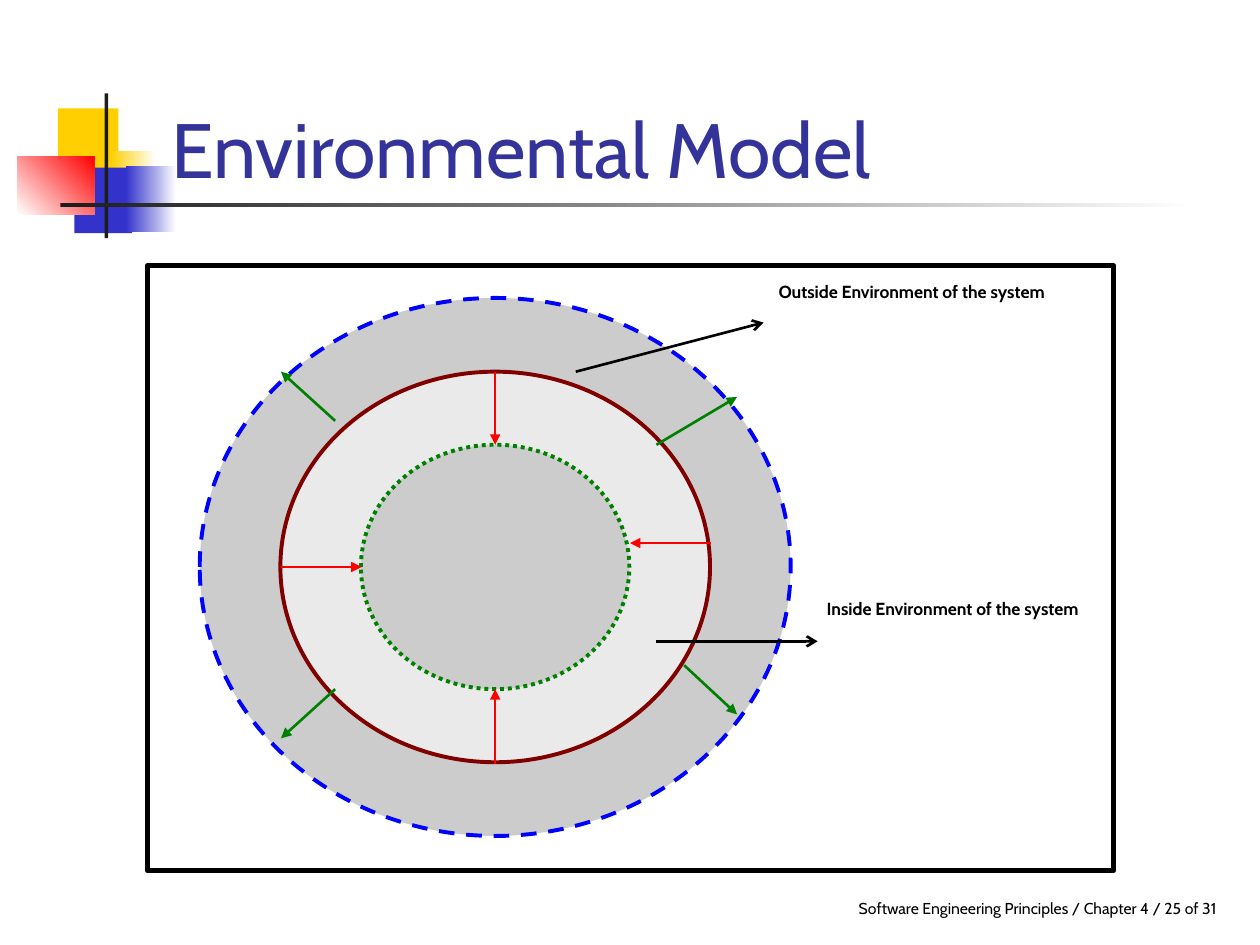
"""Build the Environmental Model slide."""
from dataclasses import dataclass

from lxml.etree import SubElement
from pptx import Presentation
from pptx.dml.color import RGBColor
from pptx.enum.dml import MSO_LINE as Dash
from pptx.enum.shapes import MSO_CONNECTOR as Link, MSO_SHAPE as Kind
from pptx.enum.text import MSO_ANCHOR as Anchor, MSO_AUTO_SIZE as Fit, PP_ALIGN as Align
from pptx.oxml.ns import qn
from pptx.util import Inches, Pt

FONT = "Cabin"
MID_X, MID_Y = 3.93, 4.5
BLACK, WHITE, GRAY, INK = "000000", "FFFFFF", "CCCCCC", "1C1C1C"
GOLD, BLUE, RED, GREEN = "FFCF01", "3333CC", "FF0000", "008000"


@dataclass
class Block:
    box: tuple
    fill: str
    fade: str = ""
    angle: int = 0


@dataclass
class Ring:
    width: float
    height: float
    fill: str
    line: str
    dash: Dash


@dataclass
class Arrow:
    start: tuple
    end: tuple
    color: str
    head: str = "triangle"


@dataclass
class Label:
    box: tuple
    text: str
    size: int
    bold: bool
    align: Align
    anchor: Anchor


BLOCKS = [
    Block((0.46, 0.86, 0.48, 0.52), GOLD),
    Block((0.88, 1.2, 0.36, 0.52), GOLD, WHITE),
    Block((0.59, 1.33, 0.46, 0.52), BLUE),
    Block((1, 1.32, 0.4, 0.52), BLUE, WHITE),
    Block((0.14, 1.24, 0.61, 0.46), WHITE, RED, 45),
    Block((0.83, 0.74, 0.03, 1.15), INK),
    Block((0.48, 1.61, 9, 0.03), INK, WHITE),
]
RINGS = [
    Ring(4.69, 4.27, GRAY, "0000FF", Dash.DASH),
    Ring(3.41, 3.1, "EAEAEA", "800000", Dash.SOLID),
    Ring(2.13, 1.94, GRAY, GREEN, Dash.ROUND_DOT),
]
ARROWS = [
    Arrow((MID_X, 6.06), (MID_X, 5.47), RED),
    Arrow((MID_X, 2.95), (MID_X, 3.53), RED),
    Arrow((2.23, MID_Y), (2.87, MID_Y), RED),
    Arrow((5.64, 4.31), (5, 4.31), RED),
    Arrow((2.66, 5.47), (2.23, 5.86), GREEN),
    Arrow((5.43, 5.28), (5.85, 5.67), GREEN),
    Arrow((2.66, 3.34), (2.23, 2.95), GREEN),
    Arrow((5.21, 3.53), (5.85, 3.15), GREEN),
    Arrow((4.57, 2.95), (6.06, 2.56), BLACK, "arrow"),
    Arrow((5.21, 5.09), (6.49, 5.09), BLACK, "arrow"),
]
LABELS = [
    Label((5.85, 2.18, 2.77, 0.78), "Outside Environment of the system",
          10, True, Align.CENTER, Anchor.TOP),
    Label((6.28, 4.7, 2.56, 0.78), "Inside Environment of the system",
          10, True, Align.CENTER, Anchor.TOP),
    Label((3.75, 6.83, 6, 0.5), "Software Engineering Principles / Chapter 4 / 25 of 31",
          9, False, Align.RIGHT, Anchor.BOTTOM),
]


def tint(color, code: str) -> None:
    color.rgb = RGBColor.from_string(code)


def scale(box: tuple) -> list:
    return [Inches(n) for n in box]


def add_block(shapes, block: Block) -> None:
    shape = shapes.add_shape(Kind.RECTANGLE, *scale(block.box))
    shape.shadow.inherit = False
    shape.line.fill.background()
    if block.fade:
        shape.fill.gradient()
        shape.fill.gradient_angle = block.angle
        for stop, code in zip(shape.fill.gradient_stops, (block.fill, block.fade)):
            tint(stop.color, code)
    else:
        shape.fill.solid()
        tint(shape.fill.fore_color, block.fill)


def add_frame(shapes) -> None:
    frame = shapes.add_shape(Kind.RECTANGLE, *scale((1.17, 2.11, 7.67, 4.8)))
    frame.shadow.inherit = False
    frame.fill.background()
    tint(frame.line.color, BLACK)
    frame.line.width = Pt(3)


def add_ring(shapes, ring: Ring) -> None:
    box = (MID_X - ring.width / 2, MID_Y - ring.height / 2, ring.width, ring.height)
    shape = shapes.add_shape(Kind.OVAL, *scale(box))
    shape.shadow.inherit = False
    shape.fill.solid()
    tint(shape.fill.fore_color, ring.fill)
    tint(shape.line.color, ring.line)
    shape.line.width = Pt(2.25)
    shape.line.dash_style = ring.dash


def add_arrow(shapes, arrow: Arrow) -> None:
    link = shapes.add_connector(Link.STRAIGHT, *scale(arrow.start + arrow.end))
    tint(link.line.color, arrow.color)
    link.line.width = Pt(1.5)
    props = link.element.spPr
    SubElement(props.find(qn("a:ln")), qn("a:tailEnd"), type=arrow.head)
    SubElement(props, qn("a:effectLst"))


def write(shape, label: Label, code: str) -> None:
    shape.left, shape.top, shape.width, shape.height = scale(label.box)
    frame = shape.text_frame
    frame.word_wrap = True
    frame.auto_size = Fit.NONE
    frame.vertical_anchor = label.anchor
    para = frame.paragraphs[0]
    para.alignment = label.align
    run = para.add_run()
    run.text = label.text
    run.font.name = FONT
    run.font.size = Pt(label.size)
    run.font.bold = label.bold
    tint(run.font.color, code)


def main() -> None:
    deck = Presentation()
    deck.slide_width, deck.slide_height = Inches(10), Inches(7.5)
    slide = deck.slides.add_slide(deck.slide_layouts[5])
    shapes = slide.shapes
    for block in BLOCKS:
        add_block(shapes, block)
    title = shapes.title
    shapes.element.append(title.element)
    head = Label((1.26, 0.34, 8.52, 1.25), "Environmental Model",
                 44, False, Align.LEFT, Anchor.BOTTOM)
    write(title, head, "333399")
    add_frame(shapes)
    for ring in RINGS:
        add_ring(shapes, ring)
    for arrow in ARROWS:
        add_arrow(shapes, arrow)
    for label in LABELS:
        write(shapes.add_textbox(*scale(label.box)), label, BLACK)
    deck.save("out.pptx")


if __name__ == "__main__":
    main()
